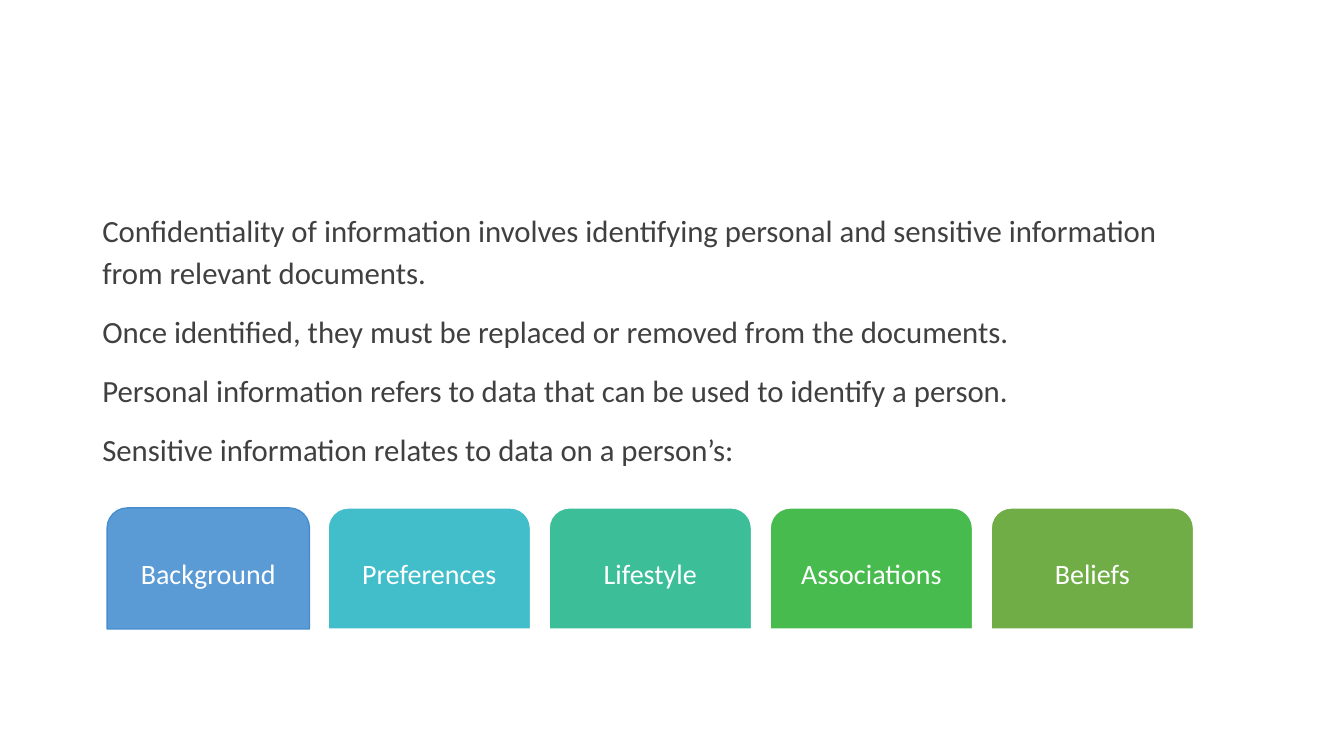
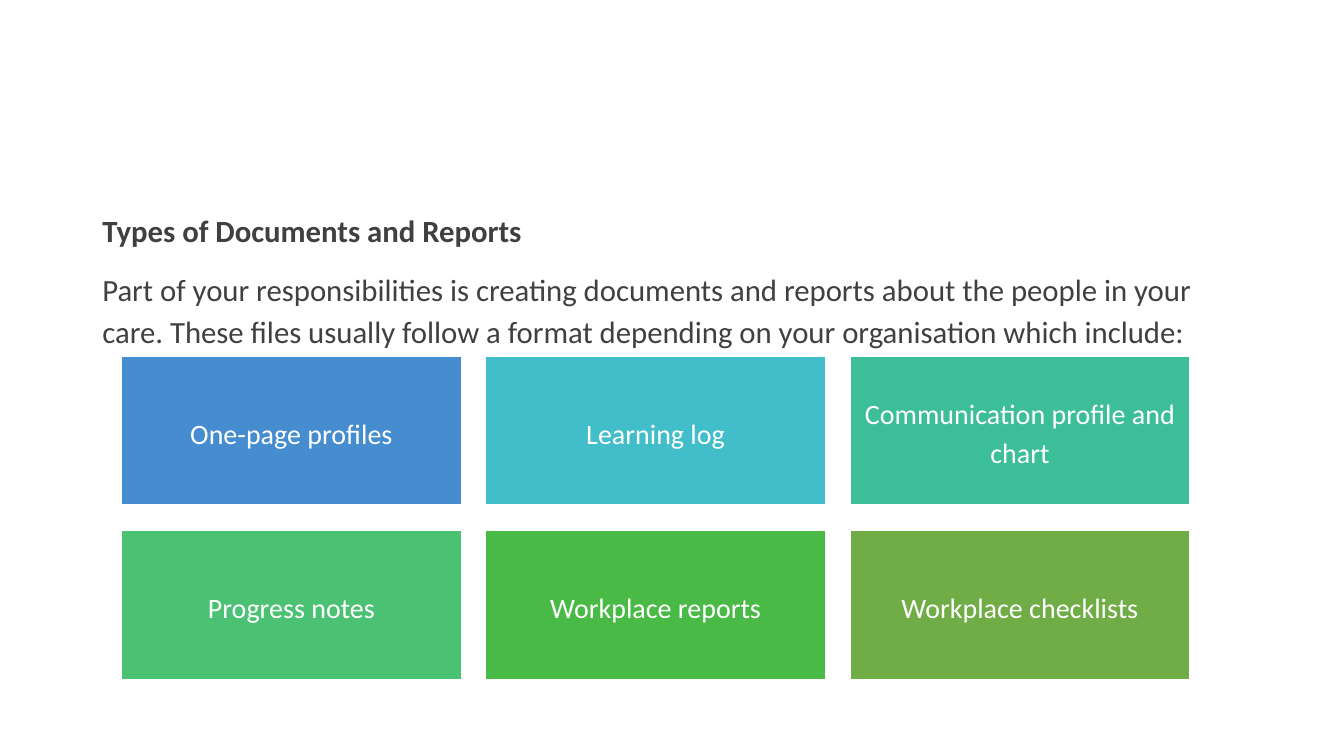
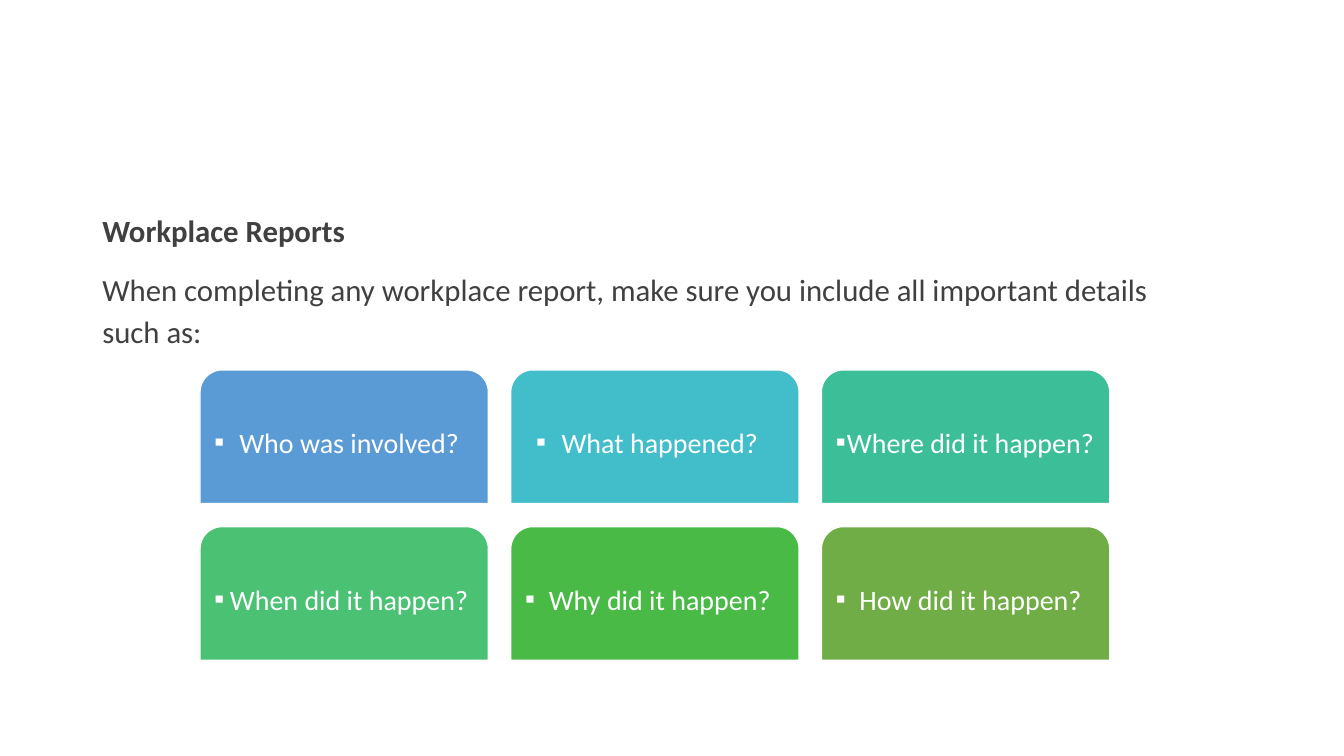
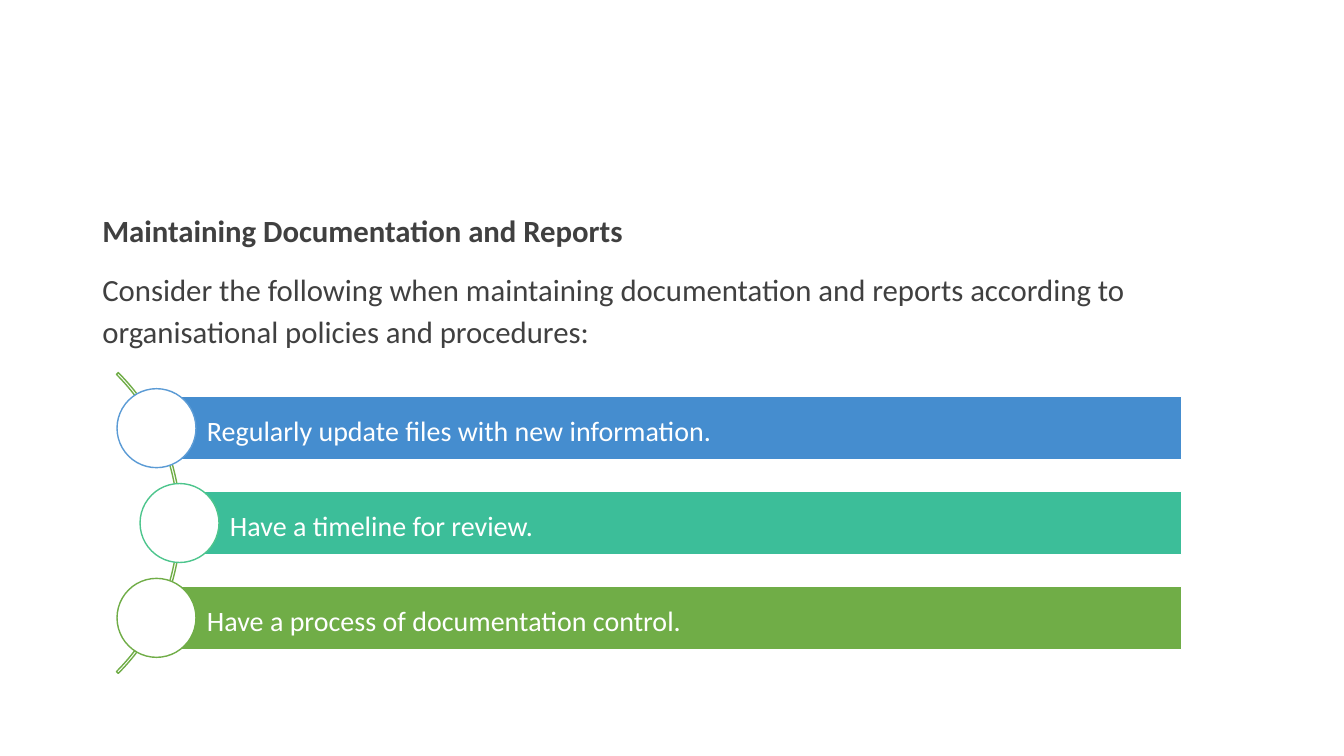
from lxml import etree
from pptx import Presentation
from pptx.dml.color import RGBColor
from pptx.enum.shapes import MSO_SHAPE
from pptx.enum.text import MSO_ANCHOR, PP_ALIGN
from pptx.oxml.ns import qn
from pptx.util import Cm, Pt

RECTANGLE = MSO_SHAPE.RECTANGLE
ROUND_TOP = MSO_SHAPE.ROUND_2_SAME_RECTANGLE
OVAL = MSO_SHAPE.OVAL
BLOCK_ARC = MSO_SHAPE.BLOCK_ARC
TOP, MIDDLE = MSO_ANCHOR.TOP, MSO_ANCHOR.MIDDLE
LEFT, CENTER = PP_ALIGN.LEFT, PP_ALIGN.CENTER

# Shared style
FONT = "Calibri"
BODY_SIZE, LABEL_SIZE = 22, 20
LINE_SPACING = 1.14
PARA_GAP = Pt(6)
WHITE, INK = "FFFFFF", "404040"
BLUE, DEEP_BLUE = "5B9BD5", "458DCF"
AQUA, TEAL, MINT, JADE = "42BDCA", "3CBE99", "4DC58D", "4BC174"
LEAF, GRASS, OLIVE = "48BB4F", "4ABA46", "70AD47"


def color(value):
    return RGBColor.from_string(value)


def add_bullet(para):
    properties = para._p.get_or_add_pPr()
    properties.set("marL", str(Cm(0.25)))
    properties.set("indent", str(Cm(-0.64)))
    etree.SubElement(properties, qn("a:buFont")).set("typeface", FONT)
    etree.SubElement(properties, qn("a:buChar")).set("char", "▪")


def write_para(para, text, size, ink, bold=False, align=LEFT, bullet=False):
    para.alignment = align
    para.line_spacing = LINE_SPACING
    para.space_after = PARA_GAP
    if bullet:
        add_bullet(para)
    span = para.add_run()
    span.text = text
    span.font.name = FONT
    span.font.size = Pt(size)
    span.font.bold = bold
    span.font.color.rgb = color(ink)


def set_frame(frame, anchor, left, top, right, bottom):
    frame.word_wrap = True
    frame.vertical_anchor = anchor
    frame.margin_left, frame.margin_top = Cm(left), Cm(top)
    frame.margin_right, frame.margin_bottom = Cm(right), Cm(bottom)


def add_body(page, lines, heading=None):
    """Body text, with an optional bold heading above it."""
    box = page.shapes.add_textbox(Cm(2.33), Cm(5.08), Cm(28.02), Cm(12.09))
    frame = box.text_frame
    set_frame(frame, TOP, 0.25, 0.13, 0.25, 0.13)
    entries = [(heading, True)] if heading else []
    entries += [(line, False) for line in lines]
    for index, (text, bold) in enumerate(entries):
        para = frame.add_paragraph() if index else frame.paragraphs[0]
        if index:
            para.space_before = PARA_GAP
        write_para(para, text, BODY_SIZE, INK, bold)


def add_figure(page, kind, left, top, width, height, fill=None, line=WHITE):
    shape = page.shapes.add_shape(kind, Cm(left), Cm(top), Cm(width), Cm(height))
    shape.shadow.inherit = False
    if fill:
        shape.fill.solid()
        shape.fill.fore_color.rgb = color(fill)
    else:
        shape.fill.background()
    shape.line.color.rgb = color(line)
    shape.line.width = Pt(1)
    return shape


def add_cards(page, cards, kind, origin, size, pitch, columns, bullet=False):
    """Grid of labelled cards, filled row by row."""
    for index, (text, fill, line) in enumerate(cards):
        row, column = divmod(index, columns)
        card = add_figure(page, kind, origin[0] + column * pitch[0],
                          origin[1] + row * pitch[1], *size, fill, line)
        set_frame(card.text_frame, MIDDLE, 0.2, 0.2, 0.2, 0.2)
        write_para(card.text_frame.paragraphs[0], text, LABEL_SIZE, WHITE,
                   align=CENTER, bullet=bullet)


def add_arc_list(page, items):
    """Bars that start from circles strung along an arc."""
    bar_right, bar_height, circle, arc_size = 29.77, 1.59, 1.99, 10.72
    first_middle, pitch = 10.79, 2.39
    middle = first_middle + pitch * (len(items) - 1) / 2
    arc = add_figure(page, BLOCK_ARC, -6.17, middle - arc_size / 2,
                     arc_size, arc_size, line=OLIVE)
    for index, value in enumerate((189, 27, 0.006)):
        arc.adjustments[index] = value
    for index, (text, fill, ring, left) in enumerate(items):
        y = first_middle + index * pitch
        bar_left = left + circle / 2
        bar = add_figure(page, RECTANGLE, bar_left, y - bar_height / 2,
                         bar_right - bar_left, bar_height, fill)
        set_frame(bar.text_frame, MIDDLE, 1.27, 0.16, 0.16, 0.16)
        write_para(bar.text_frame.paragraphs[0], text, LABEL_SIZE, WHITE)
        add_figure(page, OVAL, left, y - circle / 2, circle, circle, WHITE, ring)


def main():
    deck = Presentation()
    deck.slide_width, deck.slide_height = Cm(33.87), Cm(19.05)
    blank = deck.slide_layouts[6]

    # Confidentiality
    page = deck.slides.add_slide(blank)
    add_body(page, [
        "Confidentiality of information involves identifying personal and "
        "sensitive information from relevant documents.",
        "Once identified, they must be replaced or removed from the documents.",
        "Personal information refers to data that can be used to identify a person.",
        "Sensitive information relates to data on a person’s:",
    ])
    add_cards(page, [
        ("Background", BLUE, DEEP_BLUE),
        ("Preferences", AQUA, WHITE),
        ("Lifestyle", TEAL, WHITE),
        ("Associations", LEAF, WHITE),
        ("Beliefs", OLIVE, WHITE),
    ], ROUND_TOP, (2.7, 12.8), (5.1, 3.05), (5.57, 0), 5)

    # Document types
    page = deck.slides.add_slide(blank)
    add_body(page, [
        "Part of your responsibilities is creating documents and reports about "
        "the people in your care. These files usually follow a format depending "
        "on your organisation which include:",
    ], "Types of Documents and Reports")
    add_cards(page, [
        ("One-page profiles", DEEP_BLUE, WHITE),
        ("Learning log", AQUA, WHITE),
        ("Communication profile and chart", TEAL, WHITE),
        ("Progress notes", JADE, WHITE),
        ("Workplace reports", GRASS, WHITE),
        ("Workplace checklists", OLIVE, WHITE),
    ], RECTANGLE, (3.06, 8.97), (8.57, 3.76), (9.18, 4.39), 3)

    # Report details
    page = deck.slides.add_slide(blank)
    add_body(page, [
        "When completing any workplace report, make sure you include all "
        "important details such as:",
    ], "Workplace Reports")
    add_cards(page, [
        ("Who was involved?", BLUE, WHITE),
        ("What happened?", AQUA, WHITE),
        ("Where did it happen?", TEAL, WHITE),
        ("When did it happen?", JADE, WHITE),
        ("Why did it happen?", GRASS, WHITE),
        ("How did it happen?", OLIVE, WHITE),
    ], ROUND_TOP, (5.04, 9.32), (7.27, 3.37), (7.83, 3.95), 3, bullet=True)

    # Maintenance
    page = deck.slides.add_slide(blank)
    add_body(page, [
        "Consider the following when maintaining documentation and reports "
        "according to organisational policies and procedures:",
    ], "Maintaining Documentation and Reports")
    add_arc_list(page, [
        ("Regularly update files with new information.", DEEP_BLUE, BLUE, 2.95),
        ("Have a timeline for review.", TEAL, MINT, 3.53),
        ("Have a process of documentation control.", OLIVE, OLIVE, 2.95),
    ])

    deck.save("out.pptx")


if __name__ == "__main__":
    main()
